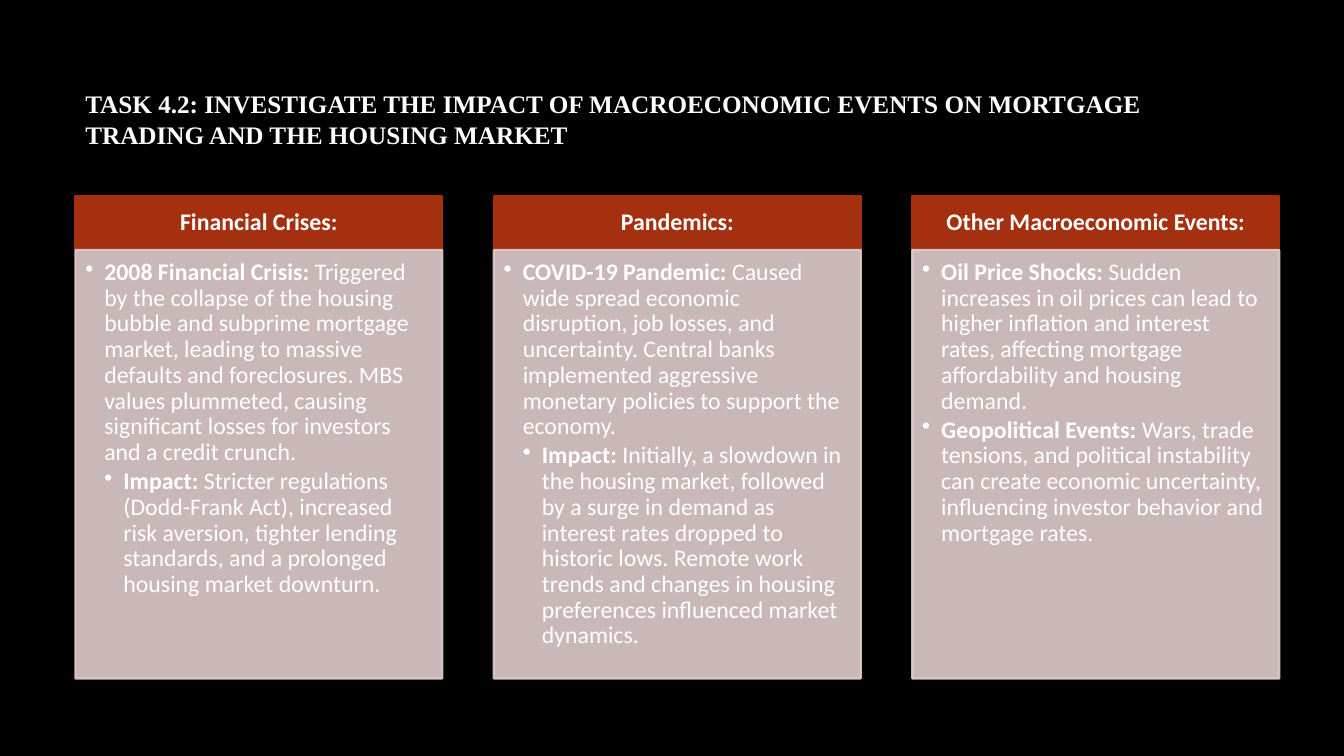
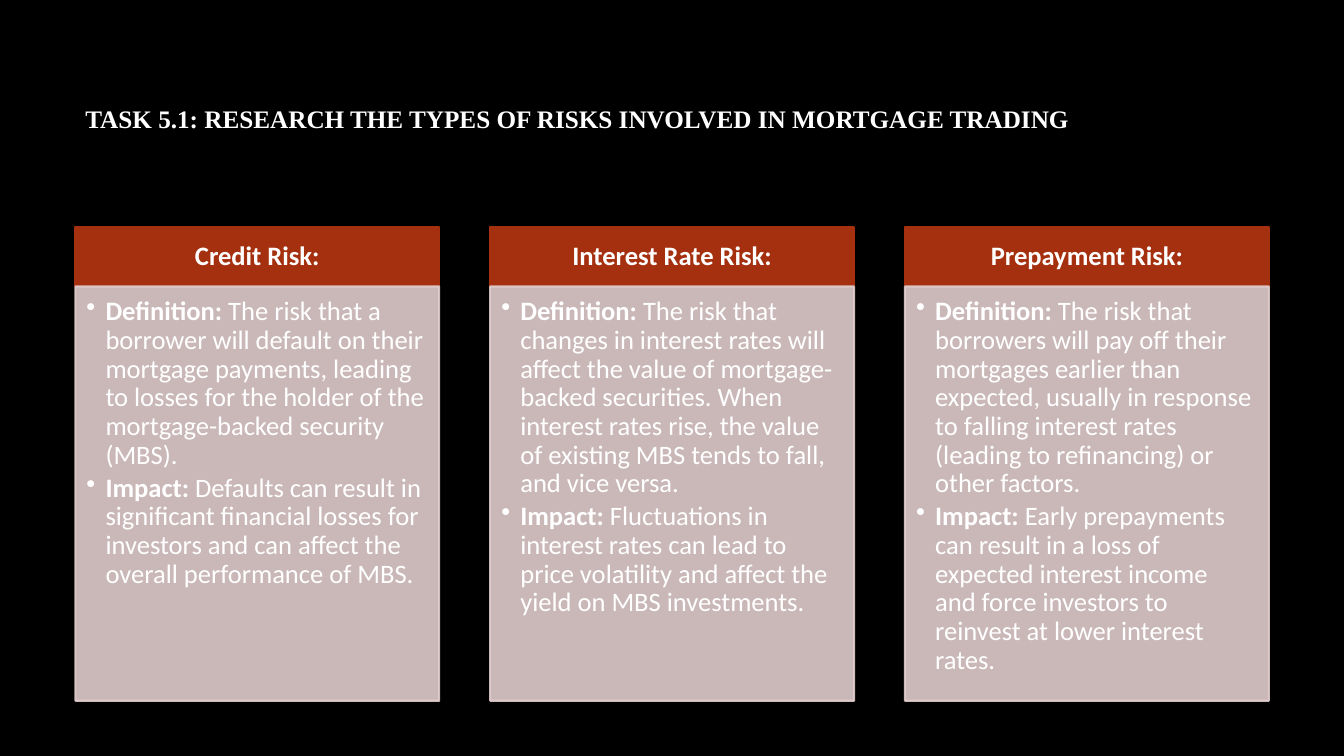
from lxml import etree
from pptx import Presentation
from pptx.dml.color import RGBColor
from pptx.enum.shapes import MSO_SHAPE
from pptx.enum.text import MSO_ANCHOR, MSO_AUTO_SIZE, PP_ALIGN
from pptx.oxml.ns import qn
from pptx.util import Cm, Pt

RECT = MSO_SHAPE.RECTANGLE
TOP, MIDDLE = MSO_ANCHOR.TOP, MSO_ANCHOR.MIDDLE
LEFT, CENTER = PP_ALIGN.LEFT, PP_ALIGN.CENTER
NO_AUTOFIT = MSO_AUTO_SIZE.NONE

BLACK, WHITE, RUST, ROSE = "000000", "FFFFFF", "A5300F", "E1CDCC"
TITLE_FONT, BODY_FONT = "Times New Roman", "Calibri"
TITLE_ONLY = 5
MARGIN = 1.9
GAP_RATIO = 0.14  # gap between columns as a share of their width
BULLET_INDENT = 0.48

MACRO_EVENTS = [
    ("Financial Crises:", [
        (0, "2008 Financial Crisis:",
         "Triggered by the collapse of the housing bubble and subprime mortgage "
         "market, leading to massive defaults and foreclosures. MBS values "
         "plummeted, causing significant losses for investors and a credit crunch."),
        (1, "Impact:",
         "Stricter regulations (Dodd-Frank Act), increased risk aversion, tighter "
         "lending standards, and a prolonged housing market downturn."),
    ]),
    ("Pandemics:", [
        (0, "COVID-19 Pandemic:",
         "Caused wide spread economic disruption, job losses, and uncertainty. "
         "Central banks implemented aggressive monetary policies to support the "
         "economy."),
        (1, "Impact:",
         "Initially, a slowdown in the housing market, followed by a surge in "
         "demand as interest rates dropped to historic lows. Remote work trends "
         "and changes in housing preferences influenced market dynamics."),
    ]),
    ("Other Macroeconomic Events:", [
        (0, "Oil Price Shocks:",
         "Sudden increases in oil prices can lead to higher inflation and interest "
         "rates, affecting mortgage affordability and housing demand."),
        (0, "Geopolitical Events:",
         "Wars, trade tensions, and political instability can create economic "
         "uncertainty, influencing investor behavior and mortgage rates."),
    ]),
]

RISK_TYPES = [
    ("Credit Risk:", [
        (0, "Definition:",
         "The risk that a borrower will default on their mortgage payments, leading "
         "to losses for the holder of the mortgage-backed security (MBS)."),
        (0, "Impact:",
         "Defaults can result in significant financial losses for investors and can "
         "affect the overall performance of MBS."),
    ]),
    ("Interest Rate Risk:", [
        (0, "Definition:",
         "The risk that changes in interest rates will affect the value of "
         "mortgage-backed securities. When interest rates rise, the value of "
         "existing MBS tends to fall, and vice versa."),
        (0, "Impact:",
         "Fluctuations in interest rates can lead to price volatility and affect "
         "the yield on MBS investments."),
    ]),
    ("Prepayment Risk:", [
        (0, "Definition:",
         "The risk that borrowers will pay off their mortgages earlier than "
         "expected, usually in response to falling interest rates (leading to "
         "refinancing) or other factors."),
        (0, "Impact:",
         "Early prepayments can result in a loss of expected interest income and "
         "force investors to reinvest at lower interest rates."),
    ]),
]


def rgb(color):
    return RGBColor.from_string(color)


def add_text(p, text, *, size, font=BODY_FONT, color=WHITE, bold=False):
    r = p.add_run()
    r.text = text
    r.font.size, r.font.name, r.font.bold = Pt(size), font, bold
    r.font.color.rgb = rgb(color)


def set_frame(tf, *, anchor, insets):
    """Insets are left, top, right and bottom in centimetres."""
    tf.word_wrap = True
    tf.auto_size = NO_AUTOFIT
    tf.vertical_anchor = anchor
    (tf.margin_left, tf.margin_top,
     tf.margin_right, tf.margin_bottom) = map(Cm, insets)


def add_title(slide, text):
    sp = slide.shapes.title
    sp.left, sp.top, sp.width, sp.height = Cm(MARGIN), Cm(1.7), Cm(28.14), Cm(2.59)
    set_frame(sp.text_frame, anchor=MIDDLE, insets=(0.25, 0.13, 0.25, 0.13))
    p = sp.text_frame.paragraphs[0]
    p.alignment = LEFT
    add_text(p, text, size=18, font=TITLE_FONT, bold=True)


def set_opacity(sp, percent):
    for color in sp._element.spPr.iter(qn("a:srgbClr")):
        etree.SubElement(color, qn("a:alpha"), val=str(percent * 1000))


def add_box(slide, left, top, width, height, color):
    sp = slide.shapes.add_shape(RECT, Cm(left), Cm(top), Cm(width), Cm(height))
    sp.shadow.inherit = False
    sp.fill.solid()
    sp.fill.fore_color.rgb = rgb(color)
    sp.line.color.rgb = rgb(color)
    sp.line.width = Pt(1.5)
    return sp


def format_bullet(p, level, size):
    p.level = level
    p.alignment = LEFT
    p.line_spacing = 0.9
    p.space_after = Pt(round(size * 0.15, 1))
    pPr = p._p.get_or_add_pPr()
    pPr.set("marL", str(Cm(BULLET_INDENT * (level + 1))))
    pPr.set("indent", str(-Cm(BULLET_INDENT)))
    etree.SubElement(pPr, qn("a:buChar"), char="•")


def add_header(slide, box, text, size):
    sp = add_box(slide, *box, RUST)
    set_frame(sp.text_frame, anchor=MIDDLE, insets=(0.35, 0.2, 0.35, 0.2))
    p = sp.text_frame.paragraphs[0]
    p.alignment = CENTER
    p.line_spacing = 0.9
    add_text(p, text, size=size, bold=True)


def add_body(slide, box, bullets, size, insets):
    sp = add_box(slide, *box, ROSE)
    set_opacity(sp, 90)
    tf = sp.text_frame
    set_frame(tf, anchor=TOP, insets=insets)
    for i, (level, term, text) in enumerate(bullets):
        p = tf.add_paragraph() if i else tf.paragraphs[0]
        format_bullet(p, level, size)
        add_text(p, term, size=size, bold=True)
        add_text(p, " " + text, size=size)


def add_columns(slide, columns, *, top, width, header_height, body_height, size,
                insets):
    for i, (header, bullets) in enumerate(columns):
        left = MARGIN + i * width * (1 + GAP_RATIO)
        add_header(slide, (left, top, width, header_height), header, size)
        add_body(slide, (left, top + header_height, width, body_height),
                 bullets, size, insets)


def add_column_slide(prs, title, columns, **layout):
    slide = prs.slides.add_slide(prs.slide_layouts[TITLE_ONLY])
    add_title(slide, title)
    add_columns(slide, columns, **layout)


def main():
    prs = Presentation()
    prs.slide_width, prs.slide_height = Cm(33.87), Cm(19.05)
    background = prs.slide_master.background.fill
    background.solid()
    background.fore_color.rgb = rgb(BLACK)

    add_column_slide(
        prs,
        "TASK 4.2: INVESTIGATE THE IMPACT OF MACROECONOMIC EVENTS ON MORTGAGE "
        "TRADING AND THE HOUSING MARKET",
        MACRO_EVENTS, top=4.93, width=9.25, header_height=1.37, body_height=10.8,
        size=17, insets=(0.25, 0.25, 0.33, 0.38))
    add_column_slide(
        prs,
        "TASK 5.1: RESEARCH THE TYPES OF RISKS INVOLVED IN MORTGAGE TRADING",
        RISK_TYPES, top=5.71, width=9.17, header_height=1.51, body_height=10.44,
        size=19, insets=(0.28, 0.28, 0.38, 0.43))
    prs.save("out.pptx")


if __name__ == "__main__":
    main()
